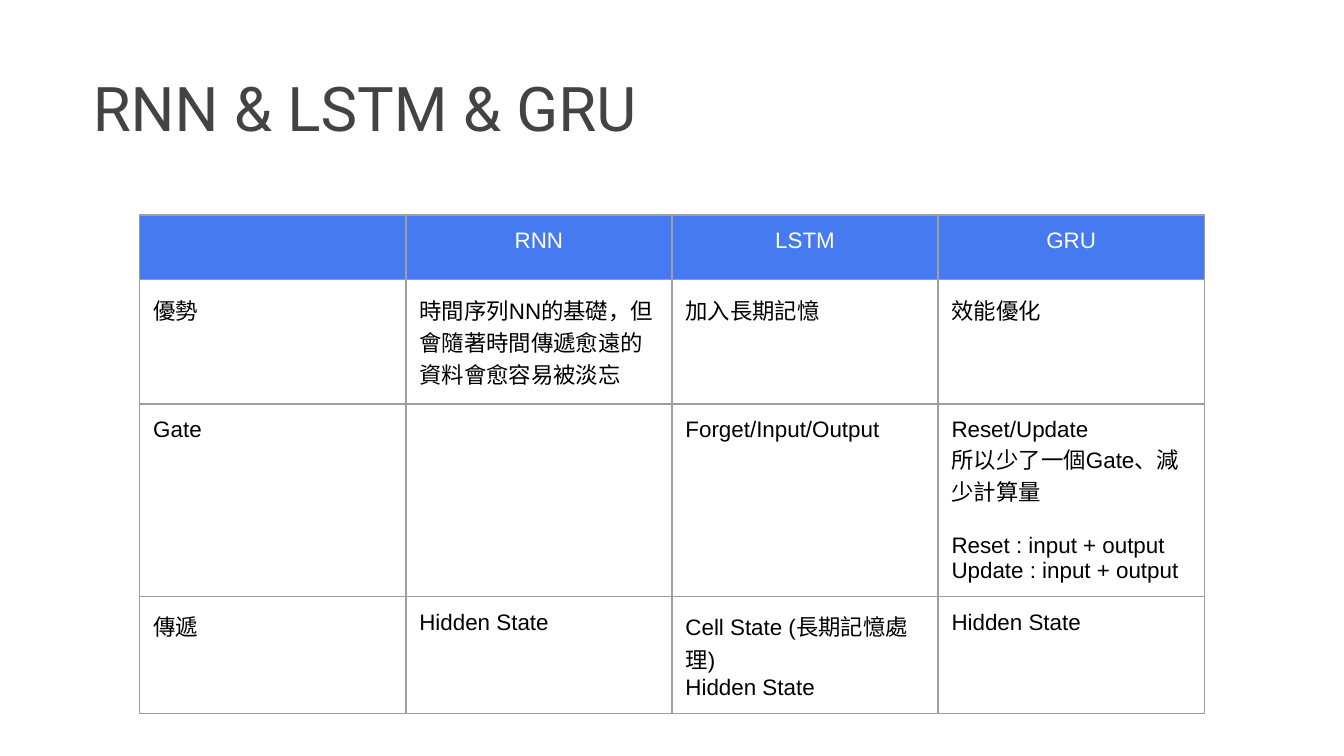
from dataclasses import dataclass

from lxml.etree import SubElement
from pptx import Presentation
from pptx.dml.color import RGBColor
from pptx.enum.text import MSO_ANCHOR as Anchor, MSO_AUTO_SIZE as AutoSize, PP_ALIGN as Align
from pptx.oxml.ns import qn
from pptx.util import Inches, Pt

WHITE = RGBColor(0xFF, 0xFF, 0xFF)
BLACK = RGBColor(0x00, 0x00, 0x00)
TITLE_GREY = RGBColor(0x43, 0x43, 0x43)
HEADER_BLUE = RGBColor(0x46, 0x7A, 0xF1)
BORDER_GREY = RGBColor(0x9E, 0x9E, 0x9E)

SLIDE_WIDTH = Inches(10)
SLIDE_HEIGHT = SLIDE_WIDTH * 9 // 16
COLUMN_WIDTH = Inches(1.98)
ROW_HEIGHT = Inches(0.42)
CELL_MARGIN = Inches(0.1)
TABLE_FONT = "Arial"


@dataclass
class Line:
    text: str
    space_before: float = 0


@dataclass
class Look:
    color: RGBColor
    align: Align
    fill: RGBColor | None = None


HEADER = Look(WHITE, Align.CENTER, HEADER_BLUE)
BODY = Look(BLACK, Align.LEFT)

# One list of lines per cell
COMPARISON = [
    [[], [Line("RNN")], [Line("LSTM")], [Line("GRU")]],
    [
        [Line("優勢")],
        [Line("時間序列NN的基礎，但會隨著時間傳遞愈遠的資料會愈容易被淡忘")],
        [Line("加入長期記憶")],
        [Line("效能優化")],
    ],
    [
        [Line("Gate")],
        [],
        [Line("Forget/Input/Output")],
        [
            Line("Reset/Update"),
            Line("所以少了一個Gate、減少計算量"),
            Line("Reset : input + output", space_before=13.5),
            Line("Update : input + output"),
        ],
    ],
    [
        [Line("傳遞")],
        [Line("Hidden State")],
        [Line("Cell State (長期記憶處理)"), Line("Hidden State")],
        [Line("Hidden State")],
    ],
]


def add_run(paragraph, text: str, font_name: str, size: float, color: RGBColor) -> None:
    run = paragraph.add_run()
    run.text = text
    run.font.name = font_name
    run.font.size = Pt(size)
    run.font.color.rgb = color


def draw_borders(cell) -> None:
    properties = cell._tc.get_or_add_tcPr()
    for position, side in enumerate(("lnL", "lnR", "lnT", "lnB")):
        border = SubElement(properties, qn(f"a:{side}"), w=str(Pt(0.75)))
        fill = SubElement(border, qn("a:solidFill"))
        SubElement(fill, qn("a:srgbClr"), val=str(BORDER_GREY))
        properties.insert(position, border)  # borders come before the fill


def set_empty_font(paragraph) -> None:
    """The font of an empty cell sets the least height of its row."""
    end = SubElement(paragraph._p, qn("a:endParaRPr"), sz="1800")
    SubElement(end, qn("a:latin"), typeface=TABLE_FONT)


def fill_cell(cell, lines: list[Line], look: Look) -> None:
    cell.margin_left = cell.margin_right = CELL_MARGIN
    cell.margin_top = cell.margin_bottom = CELL_MARGIN
    if look.fill is None:
        cell.fill.background()
    else:
        cell.fill.solid()
        cell.fill.fore_color.rgb = look.fill
    draw_borders(cell)
    frame = cell.text_frame
    if not lines:
        set_empty_font(frame.paragraphs[0])
    for index, line in enumerate(lines):
        paragraph = frame.add_paragraph() if index else frame.paragraphs[0]
        paragraph.alignment = look.align
        if line.space_before:
            paragraph.space_before = Pt(line.space_before)
        add_run(paragraph, line.text, TABLE_FONT, 12, look.color)


def draw_title(slide, text: str) -> None:
    title = slide.shapes.title
    title.left, title.top = Inches(0.69), Inches(0.54)
    title.width, title.height = Inches(8.69), Inches(0.58)
    frame = title.text_frame
    frame.auto_size = AutoSize.NONE
    frame.word_wrap = True
    frame.vertical_anchor = Anchor.MIDDLE
    frame.margin_left, frame.margin_right = 0, Inches(0.07)
    frame.margin_top = frame.margin_bottom = Inches(0.04)
    heading = frame.paragraphs[0]
    heading.alignment = Align.LEFT
    heading.line_spacing = 0.9
    add_run(heading, text, "Roboto", 33, TITLE_GREY)


def draw_table(slide, rows: list[list[list[Line]]]) -> None:
    row_count, column_count = len(rows), len(rows[0])
    table = slide.shapes.add_table(
        row_count, column_count, Inches(1.04), Inches(1.6),
        COLUMN_WIDTH * column_count, ROW_HEIGHT * row_count,
    ).table
    table.first_row = table.horz_banding = False
    for column in table.columns:
        column.width = COLUMN_WIDTH
    for row_index, cells in enumerate(rows):
        table.rows[row_index].height = ROW_HEIGHT
        for column_index, lines in enumerate(cells):
            look = BODY if row_index else HEADER
            fill_cell(table.cell(row_index, column_index), lines, look)


def main() -> None:
    presentation = Presentation()
    presentation.slide_width = SLIDE_WIDTH
    presentation.slide_height = SLIDE_HEIGHT
    slide = presentation.slides.add_slide(presentation.slide_layouts[5])  # Title Only
    draw_title(slide, "RNN & LSTM & GRU")
    draw_table(slide, COMPARISON)
    presentation.save("out.pptx")


if __name__ == "__main__":
    main()
